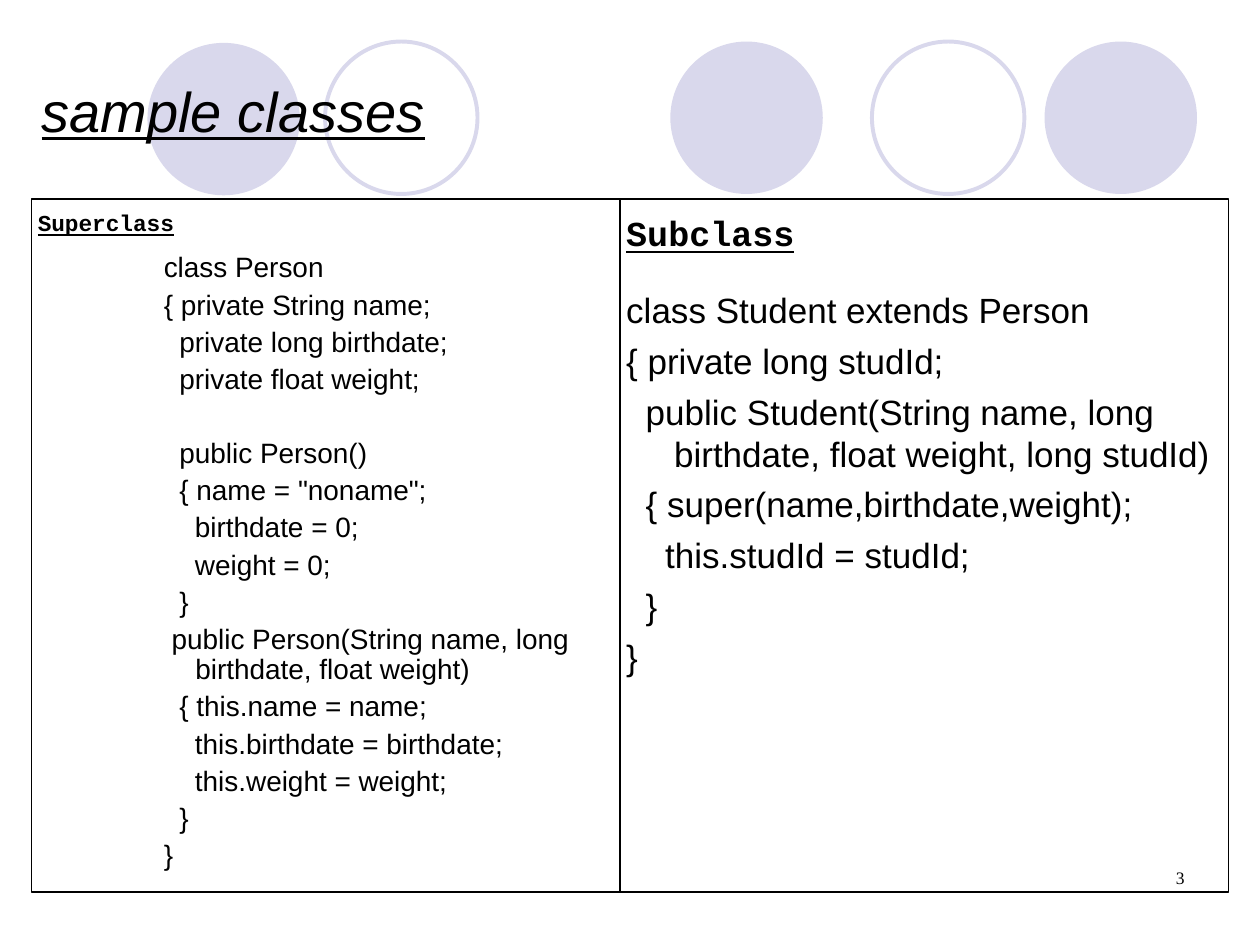
from lxml.etree import SubElement
from pptx import Presentation
from pptx.dml.color import RGBColor
from pptx.enum.shapes import MSO_SHAPE as Shape
from pptx.enum.text import MSO_ANCHOR as Anchor, MSO_AUTO_SIZE as AutoSize, PP_ALIGN as Align
from pptx.oxml.ns import qn
from pptx.util import Inches, Pt

BLACK = RGBColor(0, 0, 0)
LAVENDER = RGBColor(0xD9, 0xD8, 0xEC)
SPACE_WIDTH = 0.278 / 72
TWO_CONTENT = 3

CIRCLES = [(5.32, 0.33, True), (8.29, 0.33, True), (1.17, 0.34, True),
           (6.92, 0.33, False), (2.58, 0.33, False)]

SUPERCLASS = {
    "heading": "Superclass", "heading_size": 13, "size": 16, "level": 2,
    "margin": 1.25, "hanging": 0.25, "line_spacing": 0.9, "before": 4,
    "lines": [
        (0, "class Person", 10), (0, "{ private String name;", 4),
        (2, "private long birthdate;", 4), (2, "private float weight;", 4),
        (2, "public Person()", 25), (2, '{ name = "noname";', 4),
        (4, "birthdate = 0;", 4), (4, "weight = 0;", 4), (2, "}", 4),
        (1, "public Person(String name, long birthdate, float weight)", 4),
        (2, "{ this.name = name;", 4), (4, "this.birthdate = birthdate;", 4),
        (4, "this.weight = weight;", 4), (2, "}", 4), (0, "}", 4),
    ],
}
SUBCLASS = {
    "heading": "Subclass", "heading_size": 20, "size": 20, "level": 0,
    "margin": 0.38, "hanging": 0.38, "line_spacing": 1.0, "before": 5,
    "lines": [
        (0, "class Student extends Person", 20), (0, "{ private long studId;", 5),
        (2, "public Student(String name, long birthdate, float weight, long studId)", 5),
        (2, "{ super(name,birthdate,weight);", 5),
        (4, "this.studId = studId;", 5), (2, "}", 5), (0, "}", 5),
    ],
}


def set_all(target, values):
    """Set each named attribute of the target."""
    for name, value in values.items():
        setattr(target, name, value)


def place(shape, box):
    """Move and size a shape to a box in inches."""
    set_all(shape, dict(zip(("left", "top", "width", "height"), map(Inches, box))))


def prepare_frame(shape, insets, anchor=Anchor.TOP):
    """Set wrapping, anchor and horizontal and vertical insets."""
    across, down = map(Inches, insets)
    set_all(shape.text_frame, {
        "word_wrap": True, "auto_size": AutoSize.NONE, "vertical_anchor": anchor,
        "margin_left": across, "margin_right": across,
        "margin_top": down, "margin_bottom": down,
    })


def write(paragraph, text, font, layout, margin=0.0, indent=0.0):
    """Fill a paragraph with one formatted run and no bullet."""
    set_all(paragraph, {"alignment": Align.LEFT, "space_before": Pt(0),
                        "space_after": Pt(0), **layout})
    properties = paragraph._p.get_or_add_pPr()
    properties.set("marL", str(Inches(margin)))
    properties.set("indent", str(Inches(indent)))
    SubElement(properties, qn("a:buNone"))
    run = paragraph.add_run()
    run.text = text
    set_all(run.font, font)
    run.font.color.rgb = BLACK


def add_circles(slide, diameter):
    """Add the row of filled and outlined circles."""
    for left, top, filled in CIRCLES:
        circle = slide.shapes.add_shape(Shape.OVAL, 0, 0, 0, 0)
        place(circle, (left, top, diameter, diameter))
        circle.shadow.inherit = False
        if filled:
            circle.fill.solid()
            circle.fill.fore_color.rgb = LAVENDER
            circle.line.fill.background()
        else:
            circle.fill.background()
            circle.line.color.rgb = LAVENDER
            circle.line.width = Pt(2.25)


def fill_title(title, box):
    """Place the title above the circles and write it."""
    title.element.getparent().append(title.element)
    place(title, box)
    prepare_frame(title, (0, 0), Anchor.MIDDLE)
    font = {"name": "Arial", "size": Pt(32), "italic": True, "underline": True}
    write(title.text_frame.paragraphs[0], "sample classes", font,
          {"space_before": Pt(8)}, 0.38, -0.38)


def fill_code_panel(panel, box, code):
    """Write a heading and indented code lines in a bordered panel."""
    place(panel, box)
    prepare_frame(panel, (0.05, 0.1))
    panel.line.color.rgb = BLACK
    panel.line.width = Pt(0.75)
    frame = panel.text_frame
    heading_font = {"name": "Courier New", "size": Pt(code["heading_size"]),
                    "bold": True, "underline": True}
    spacing = {"line_spacing": code["line_spacing"]}
    write(frame.paragraphs[0], code["heading"], heading_font, spacing, 0.38, -0.38)
    code_font = {"name": "Arial", "size": Pt(code["size"])}
    for depth, text, before in code["lines"]:
        layout = {**spacing, "level": code["level"], "space_before": Pt(before)}
        indent = depth * SPACE_WIDTH * code["size"] - code["hanging"]
        write(frame.add_paragraph(), text, code_font, layout, code["margin"], indent)


def add_page_number(slide, box, number):
    """Add the right-aligned page number."""
    text_box = slide.shapes.add_textbox(0, 0, 0, 0)
    place(text_box, box)
    prepare_frame(text_box, (0.1, 0.05))
    write(text_box.text_frame.paragraphs[0], number,
          {"name": "Times New Roman", "size": Pt(10)}, {"alignment": Align.RIGHT}, 0.24)


def main():
    """Build and save the slide."""
    presentation = Presentation()
    presentation.slide_width, presentation.slide_height = Inches(10), Inches(7.5)
    slide = presentation.slides.add_slide(presentation.slide_layouts[TWO_CONTENT])
    title, superclass_panel, subclass_panel = slide.placeholders
    add_circles(slide, 1.21)
    fill_title(title, (0.33, 0.58, 9.33, 0.58))
    fill_code_panel(superclass_panel, (0.25, 1.58, 4.67, 5.5), SUPERCLASS)
    fill_code_panel(subclass_panel, (4.92, 1.58, 4.83, 5.5), SUBCLASS)
    add_page_number(slide, (7.17, 6.83, 2.33, 0.5), "3")
    presentation.save("out.pptx")


if __name__ == "__main__":
    main()
